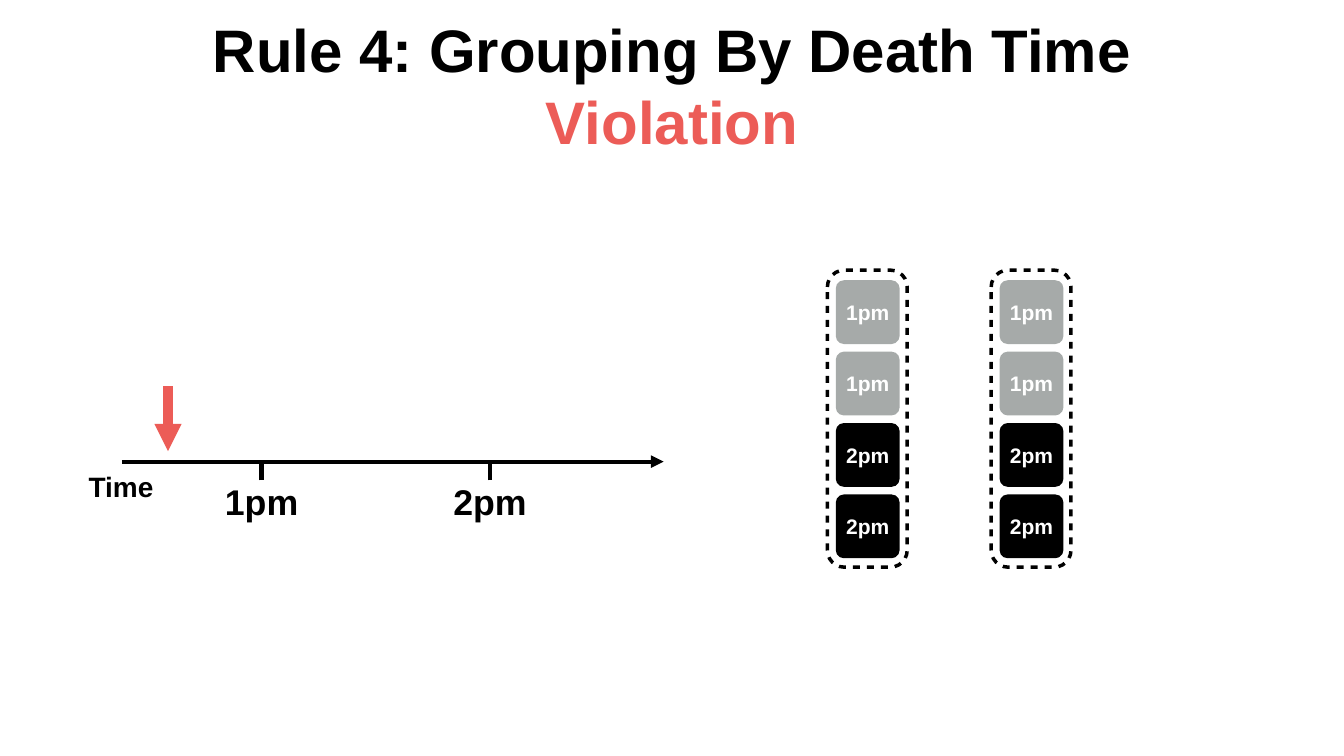
from lxml import etree
from pptx import Presentation
from pptx import util as u
from pptx.dml.color import RGBColor
from pptx.enum import shapes, text
from pptx.oxml.ns import qn

BLACK = RGBColor(0x00, 0x00, 0x00)
WHITE = RGBColor(0xFF, 0xFF, 0xFF)
GRAY = RGBColor(0xA6, 0xAA, 0xA9)
RED = RGBColor(0xEC, 0x5C, 0x57)

COLUMNS, ROWS = 80, 45  # square grid cells over the whole slide


def write(paragraph, content, size, color=BLACK, font="Arial", bold=True, spacing=1.0):
    """Add one formatted run to a centred paragraph."""
    paragraph.alignment = text.PP_ALIGN.CENTER
    paragraph.line_spacing = spacing
    run = paragraph.add_run()
    run.text = content
    run.font.name, run.font.size, run.font.bold = font, u.Pt(size), bold
    run.font.color.rgb = color


class Board:
    """Draws on one slide, with lengths in grid columns and rows."""

    inset = u.Inches(0.08)

    def __init__(self, presentation):
        self.slide = presentation.slides.add_slide(presentation.slide_layouts[5])
        self.column = presentation.slide_width / COLUMNS
        self.row = presentation.slide_height / ROWS

    def place(self, left, top, width, height):
        return (round(left * self.column), round(top * self.row),
                round(width * self.column), round(height * self.row))

    def frame(self, shape, anchor, wrap=True):
        """Set the text frame's margins and return its first paragraph."""
        frame = shape.text_frame
        frame.margin_left = frame.margin_right = self.inset
        frame.margin_top = frame.margin_bottom = self.inset
        frame.word_wrap = wrap
        frame.auto_size = text.MSO_AUTO_SIZE.NONE
        frame.vertical_anchor = anchor
        return frame.paragraphs[0]

    def title(self, box, parts, size):
        shape = self.slide.shapes.title
        shape.left, shape.top, shape.width, shape.height = self.place(*box)
        paragraph = self.frame(shape, text.MSO_ANCHOR.MIDDLE)
        for content, color in parts:
            write(paragraph, content, size, color)

    def label(self, box, content, size, spacing=1.0):
        shape = self.slide.shapes.add_textbox(*self.place(*box))
        paragraph = self.frame(shape, text.MSO_ANCHOR.BOTTOM, wrap=False)
        write(paragraph, content, size, spacing=spacing)

    def line(self, start, end, width, color=BLACK, arrow=False):
        ends = self.place(*start, *end)
        connector = self.slide.shapes.add_connector(shapes.MSO_CONNECTOR.STRAIGHT, *ends)
        connector.line.color.rgb = color
        connector.line.width = u.Pt(width)
        if arrow:
            etree.SubElement(connector.line._get_or_add_ln(), qn("a:tailEnd"), type="triangle")
        etree.SubElement(connector._element.spPr, qn("a:effectLst"))

    def rounded(self, box, radius):
        shape = self.slide.shapes.add_shape(
            shapes.MSO_SHAPE.ROUNDED_RECTANGLE, *self.place(*box))
        shape.adjustments[0] = radius
        shape.shadow.inherit = False
        return shape

    def tile(self, box, content, color):
        shape = self.rounded(box, 0.128)
        shape.fill.solid()
        shape.fill.fore_color.rgb = color
        shape.line.fill.background()
        write(self.frame(shape, text.MSO_ANCHOR.MIDDLE), content, 30, WHITE)

    def dashed_frame(self, box):
        shape = self.rounded(box, 0.211)
        shape.fill.background()
        shape.line.color.rgb = BLACK
        shape.line.width = u.Pt(5)
        dashes = etree.SubElement(shape.line._get_or_add_ln(), qn("a:custDash"))
        etree.SubElement(dashes, qn("a:ds"), d="200000", sp="200000")


def draw_timeline(board):
    axis = 27.48
    board.line((7.25, axis), (39.5, axis), 6, arrow=True)
    board.label((5, 27.75, 4.4, 2.45), "Time", 40)
    for center, hour in ((15.57, "1pm"), (29.17, "2pm")):
        board.line((center, 28.6), (center, axis + 0.1), 6)
        board.label((center - 2.45, 28.38, 4.9, 3), hour, 51, spacing=0.9)
    board.line((10, 23), (10, 26.85), 13, RED, arrow=True)


def draw_group(board, left, top):
    """Draw a dashed frame around a column of death times."""
    tiles = (("1pm", GRAY), ("1pm", GRAY), ("2pm", BLACK), ("2pm", BLACK))
    for index, (hour, color) in enumerate(tiles):
        board.tile((left + 0.5, top + 0.6 + 4.25 * index, 3.8, 3.8), hour, color)
    board.dashed_frame((left, top, 4.75, 17.68))


def main():
    presentation = Presentation()
    presentation.slide_width, presentation.slide_height = u.Inches(26.67), u.Inches(15)
    board = Board(presentation)
    board.title((9.1, 0.03, 61.8, 9.96),
                (("Rule 4: Grouping By Death Time ", BLACK), ("Violation", RED)), 85.7)
    draw_timeline(board)
    for left in (49.25, 59):
        draw_group(board, left, 16.08)
    presentation.save("out.pptx")


if __name__ == "__main__":
    main()
